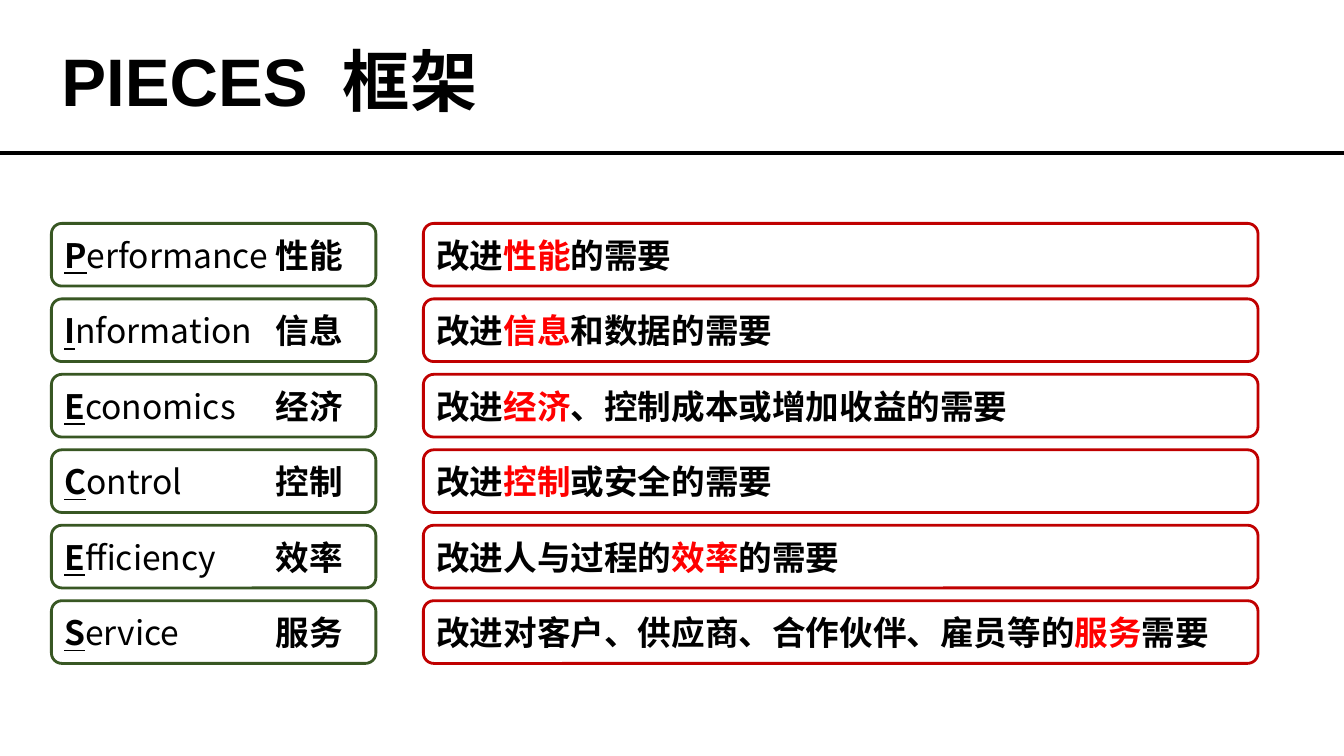
"""Build the PIECES framework slide."""
from lxml.etree import SubElement
from pptx import Presentation
from pptx.dml.color import RGBColor
from pptx.enum.shapes import MSO_CONNECTOR, MSO_SHAPE
from pptx.enum.text import MSO_ANCHOR, MSO_AUTO_SIZE, PP_ALIGN
from pptx.oxml.ns import qn
from pptx.util import Pt

BLACK = RGBColor(0x00, 0x00, 0x00)
WHITE = RGBColor(0xFF, 0xFF, 0xFF)
RED = RGBColor(0xFF, 0x00, 0x00)
DARK_RED = RGBColor(0xC0, 0x00, 0x00)
GREEN = RGBColor(0x38, 0x57, 0x23)
CHINESE_FONT = "Noto Sans CJK SC"

SLIDE_WIDTH, SLIDE_HEIGHT = 960, 540
LEFT_MARGIN = 36.7
FIRST_TOP, ROW_PITCH, BOX_HEIGHT = 159.6, 53.9, 44.8
TERM_WIDTH = 231.8
NEED_LEFT, NEED_WIDTH = 302.4, 596.2

ROWS = [
    ("Performance", "性能", "改进", "的需要"),
    ("Information", "信息", "改进", "和数据的需要"),
    ("Economics", "经济", "改进", "、控制成本或增加收益的需要"),
    ("Control", "控制", "改进", "或安全的需要"),
    ("Efficiency", "效率", "改进人与过程的", "的需要"),
    ("Service", "服务", "改进对客户、供应商、合作伙伴、雇员等的", "需要"),
]


def add_text(paragraph, text, size=24, font=CHINESE_FONT, color=BLACK, bold=True, underline=False):
    run = paragraph.add_run()
    run.text = text
    run.font.name = font
    run.font.size = Pt(size)
    run.font.bold = bold
    run.font.underline = underline
    run.font.color.rgb = color
    SubElement(run.font._element, qn("a:ea"), typeface=CHINESE_FONT)


def add_tab_stop(paragraph, position):
    tabs = SubElement(paragraph._p.get_or_add_pPr(), qn("a:tabLst"))
    SubElement(tabs, qn("a:tab"), pos=str(Pt(position)), algn="l")


def place_title(slide):
    title = slide.shapes.title
    title.left, title.top = Pt(LEFT_MARGIN), Pt(17.3)
    title.width, title.height = Pt(638), Pt(72.7)
    frame = title.text_frame
    frame.auto_size = MSO_AUTO_SIZE.NONE
    frame.vertical_anchor = MSO_ANCHOR.BOTTOM
    paragraph = frame.paragraphs[0]
    paragraph.alignment = PP_ALIGN.LEFT
    paragraph.line_spacing = 0.9
    paragraph.space_after = Pt(12)
    add_tab_stop(paragraph, 201)
    add_text(paragraph, "PIECES\t框架", size=48, font="Arial")


def add_rule(slide, y):
    rule = slide.shapes.add_connector(MSO_CONNECTOR.STRAIGHT, 0, Pt(y), Pt(SLIDE_WIDTH), Pt(y))
    rule.line.color.rgb = BLACK
    rule.line.width = Pt(3)
    SubElement(rule._element.spPr, qn("a:effectLst"))


def add_box(slide, left, top, width, line_color, alignment):
    shape = slide.shapes.add_shape(
        MSO_SHAPE.ROUNDED_RECTANGLE, Pt(left), Pt(top), Pt(width), Pt(BOX_HEIGHT))
    shape.shadow.inherit = False
    shape.fill.solid()
    shape.fill.fore_color.rgb = WHITE
    shape.line.color.rgb = line_color
    shape.line.width = Pt(2)
    shape.text_frame.word_wrap = True
    shape.text_frame.vertical_anchor = MSO_ANCHOR.MIDDLE
    paragraph = shape.text_frame.paragraphs[0]
    paragraph.alignment = alignment
    return paragraph


def add_term(slide, top, english, chinese):
    paragraph = add_box(slide, LEFT_MARGIN, top, TERM_WIDTH, GREEN, PP_ALIGN.JUSTIFY)
    add_tab_stop(paragraph, 151)
    add_text(paragraph, english[0], underline=True)
    add_text(paragraph, english[1:] + "\t", bold=False)
    add_text(paragraph, chinese)


def add_need(slide, top, before, keyword, after):
    paragraph = add_box(slide, NEED_LEFT, top, NEED_WIDTH, DARK_RED, PP_ALIGN.LEFT)
    add_text(paragraph, before)
    add_text(paragraph, keyword, color=RED)
    add_text(paragraph, after)


def main():
    presentation = Presentation()
    presentation.slide_width = Pt(SLIDE_WIDTH)
    presentation.slide_height = Pt(SLIDE_HEIGHT)
    slide = presentation.slides.add_slide(presentation.slide_layouts.get_by_name("Title Only"))
    place_title(slide)
    add_rule(slide, 109.4)
    for index, (english, chinese, before, after) in enumerate(ROWS):
        top = FIRST_TOP + index * ROW_PITCH
        add_term(slide, top, english, chinese)
        add_need(slide, top, before, chinese, after)
    presentation.save("out.pptx")


if __name__ == "__main__":
    main()
